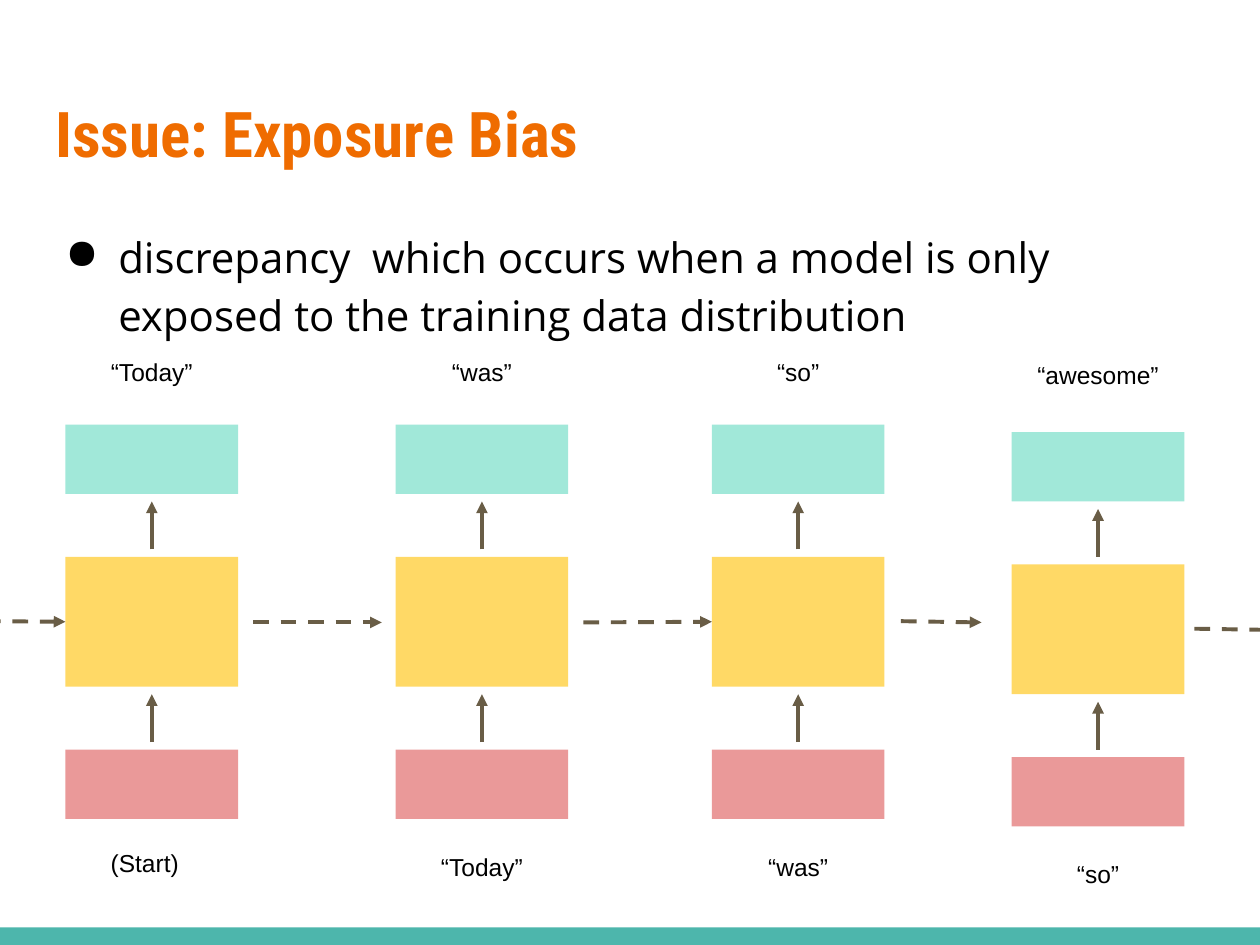
from lxml.etree import SubElement
from pptx import Presentation
from pptx.dml.color import RGBColor as RGB
from pptx.enum.dml import MSO_LINE_DASH_STYLE as Dash
from pptx.enum.shapes import MSO_CONNECTOR as Conn, MSO_SHAPE as Shape
from pptx.enum.text import PP_ALIGN as Align
from pptx.oxml.ns import qn
from pptx.util import Inches, Pt

HUES = {"bar": "4DB6AC", "title": "EF6C00", "text": "000000", "arrow": "695D46",
        "out": "A1E8D9", "cell": "FFD966", "in": "EA9999"}
WIDE = 1.37
PARTS = [("out", 0, 0.55), ("cell", 1.05, 1.03), ("in", 2.58, 0.55)]
STEPS = [(0.52, 3.37, "“Today”", 2.73, None),
         (3.14, 3.37, "“was”", 2.73, "“Today”"),
         (5.65, 3.37, "“so”", 2.73, "“was”"),
         (8.03, 3.43, "“awesome”", 2.76, "“so”")]


def add_box(slide, hue, x, y, w, h):
    """Add a plain filled rectangle."""
    box = slide.shapes.add_shape(Shape.RECTANGLE, Inches(x), Inches(y), Inches(w), Inches(h))
    box.shadow.inherit = False
    box.fill.solid()
    box.fill.fore_color.rgb = RGB.from_string(HUES[hue])
    box.line.fill.background()
    return box


def add_text(slide, text, x, y, w, h, size=14, face="Arial", hue="text",
             bold=False, align=Align.CENTER, bullet=False):
    """Add a one-paragraph text box, with a bullet if asked."""
    frame = slide.shapes.add_textbox(Inches(x), Inches(y), Inches(w), Inches(h)).text_frame
    frame.word_wrap = True
    frame.margin_left = frame.margin_right = Inches(0.1)
    frame.margin_top = frame.margin_bottom = Inches(0.1)
    para = frame.paragraphs[0]
    para.alignment = align
    if bullet:
        para.line_spacing = 1.15
        para.space_after = Pt(16)
        props = para._p.get_or_add_pPr()
        props.set("marL", str(Inches(0.5)))
        props.set("indent", str(Inches(-0.42)))
        tint = SubElement(props, qn("a:buClr"))
        SubElement(tint, qn("a:srgbClr"), val=HUES["text"])
        SubElement(props, qn("a:buChar"), char="●")
    run = para.add_run()
    run.text = text
    font = run.font
    font.size, font.name, font.bold = Pt(size), face, bold
    font.color.rgb = RGB.from_string(HUES[hue])


def add_arrow(slide, x1, y1, x2, y2, dash=False, goal=None):
    """Add an arrow, joined to the left side of goal if given."""
    line = slide.shapes.add_connector(Conn.STRAIGHT, Inches(x1), Inches(y1),
                                      Inches(x2), Inches(y2))
    if goal is not None:
        line.end_connect(goal, 1)
    line.line.width = Pt(2.25)
    line.line.color.rgb = RGB.from_string(HUES["arrow"])
    if dash:
        line.line.dash_style = Dash.DASH
    SubElement(line.line._get_or_add_ln(), qn("a:tailEnd"), type="triangle")
    SubElement(line._element.spPr, qn("a:effectLst"))


def add_step(slide, x, y, above, top, below):
    """Add one time step with its labels and return its cell."""
    made = {hue: add_box(slide, hue, x, y + drop, WIDE, h) for hue, drop, h in PARTS}
    mid = x + WIDE / 2
    for start in (y + 0.99, y + 2.52):
        add_arrow(slide, mid, start, mid, start - 0.38)
    add_text(slide, above, x, top, WIDE, 0.38)
    if below:
        add_text(slide, below, x, y + 3.29, WIDE, 0.38)
    return made["cell"]


def main():
    """Build the slide and save it."""
    deck = Presentation()
    deck.slide_width, deck.slide_height = Inches(10), Inches(7.5)
    slide = deck.slides.add_slide(deck.slide_layouts[6])
    add_box(slide, "bar", 0, 7.36, 10, 0.14)
    add_text(slide, "Issue: Exposure Bias", 0.34, 0.65, 9.32, 1.03, size=36,
             face="Roboto Condensed", hue="title", bold=True, align=Align.LEFT)
    add_text(slide, "discrepancy  which occurs when a model is only exposed "
             "to the training data distribution", 0.34, 1.68, 9.32, 0.79,
             size=24, face="Open Sans", align=Align.LEFT, bullet=True)
    cells = [add_step(slide, *step) for step in STEPS]
    add_text(slide, "(Start)", 0.78, 6.63, 0.85, 0.38, align=Align.LEFT)
    for x1, y1, x2, y2, goal in [(-0.12, 4.93, 0.52, 4.94, cells[0]),
                                 (2.01, 4.94, 3.03, 4.94, None),
                                 (4.63, 4.94, 5.65, 4.94, cells[2]),
                                 (7.15, 4.93, 7.79, 4.94, None),
                                 (9.48, 4.99, 10.12, 5, None)]:
        add_arrow(slide, x1, y1, x2, y2, dash=True, goal=goal)
    deck.save("out.pptx")


if __name__ == "__main__":
    main()
